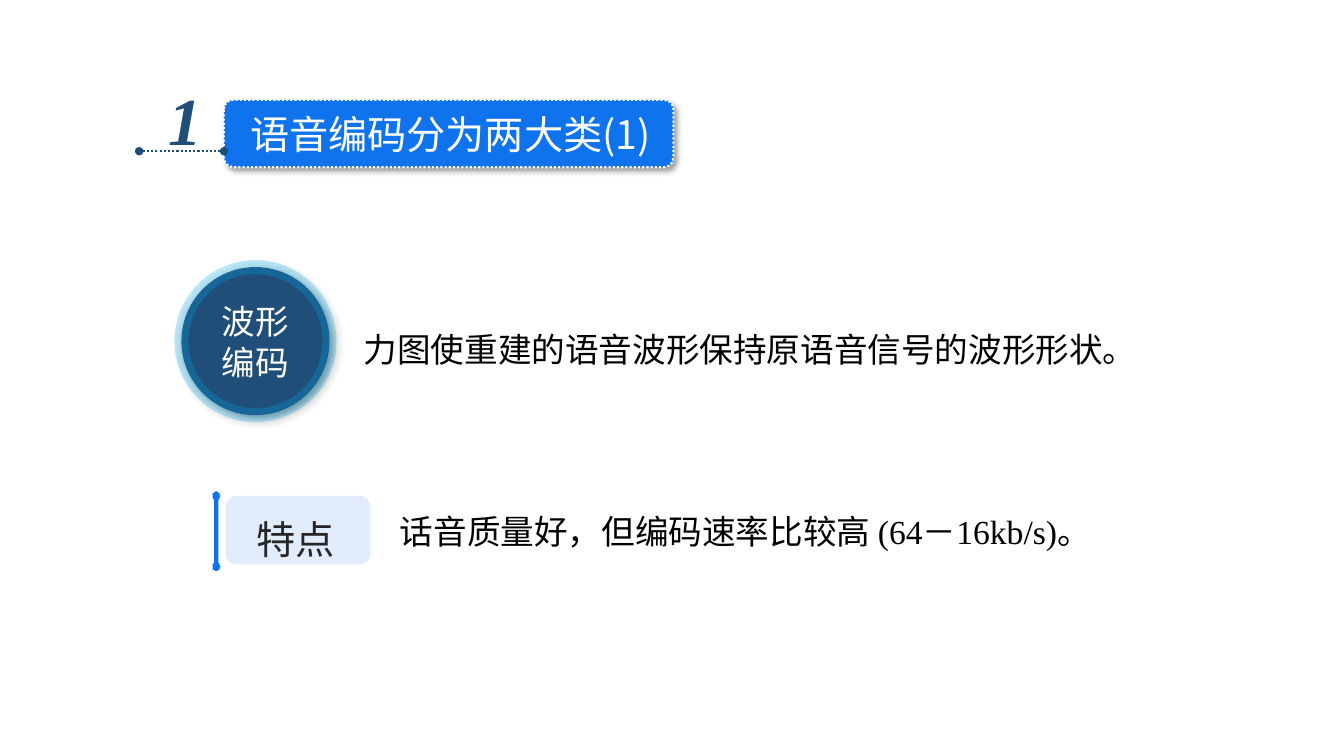
"""Build a slide on the first of two classes of speech coding."""
from math import cos, pi, sin

from lxml import etree
from pptx import Presentation
from pptx.dml.color import RGBColor
from pptx.enum.dml import MSO_LINE
from pptx.enum.shapes import MSO_CONNECTOR, MSO_SHAPE
from pptx.enum.text import MSO_ANCHOR, MSO_AUTO_SIZE, PP_ALIGN
from pptx.oxml.ns import qn
from pptx.util import Pt

ROUND, OVAL = MSO_SHAPE.ROUNDED_RECTANGLE, MSO_SHAPE.OVAL
LINE, DOTS = MSO_CONNECTOR.STRAIGHT, MSO_LINE.ROUND_DOT
LEFT, CENTER = PP_ALIGN.LEFT, PP_ALIGN.CENTER
TOP, MIDDLE = MSO_ANCHOR.TOP, MSO_ANCHOR.MIDDLE
FIXED = MSO_AUTO_SIZE.NONE


class Theme:
    navy, blue, cyan = "1F4E79", "0F73EE", "00B0F0"
    white, black, gray = "FFFFFF", "000000", "262626"
    sans, serif = "Noto Sans CJK SC", "Times New Roman"
    body, head, digit = 24, 28, 48


def color(fill, tone, alpha=None):
    fill.solid()
    fill.fore_color.rgb = RGBColor.from_string(tone)
    if alpha:
        node = fill._xPr.find(".//" + qn("a:srgbClr"))
        etree.SubElement(node, qn("a:alpha"), val=str(alpha * 1000))


class Deck:
    def __init__(self, theme):
        self.theme = theme
        self.prs = Presentation()
        self.prs.slide_width, self.prs.slide_height = Pt(960), Pt(540)
        self.slide = self.prs.slides.add_slide(self.prs.slide_layouts[5])
        self.shapes = self.slide.shapes

    def shape(self, kind, box, tone, alpha=None, line=None, adj=None, shade=False):
        item = self.shapes.add_shape(kind, *map(Pt, box))
        if adj:
            item.adjustments[0] = adj
        self.paint(item, tone, alpha)
        if line:
            edge, width, dash, clear = line
            color(item.line.fill, edge, clear)
            item.line.width = Pt(width)
            if dash:
                item.line.dash_style = dash
        if shade:
            self.shade(item)

    def paint(self, item, tone, alpha=None):
        color(item.fill, tone, alpha)
        item.line.fill.background()
        item.shadow.inherit = False

    def shade(self, item):
        group = item._element.spPr.find(qn("a:effectLst"))
        drop = etree.SubElement(group, qn("a:outerShdw"), blurRad=str(Pt(4)),
                                dist=str(Pt(3)), dir="2700000", algn="tl", rotWithShape="0")
        ink = etree.SubElement(drop, qn("a:srgbClr"), val=self.theme.black)
        etree.SubElement(ink, qn("a:alpha"), val="40000")

    def text(self, box, words, tone, size, name=None, wrap=True, **style):
        item = self.shapes.add_textbox(*map(Pt, box))
        self.letter(item, words, tone, size, name, wrap, **style)

    def title(self, box, words, tone, size):
        item = self.shapes.title
        item.left, item.top, item.width, item.height = map(Pt, box)
        self.shapes._spTree.append(item._element)
        self.letter(item, words, tone, size)

    def letter(self, item, words, tone, size, name=None, wrap=True, anchor=TOP,
               align=LEFT, space=1.0, indent=0, **font):
        frame = item.text_frame
        frame.text = words
        setup = {"word_wrap": wrap, "auto_size": FIXED, "vertical_anchor": anchor}
        for key, value in setup.items():
            setattr(frame, key, value)
        look = {"size": Pt(size), "name": name or self.theme.sans, **font}
        for para in frame.paragraphs:
            para.alignment, para.line_spacing = align, space
            if indent:
                para._p.get_or_add_pPr().set("marL", str(Pt(indent)))
            for run in para.runs:
                color(run.font.fill, tone)
                for key, value in look.items():
                    setattr(run.font, key, value)
                etree.SubElement(run._r.get_or_add_rPr(), qn("a:ea"),
                                 typeface=self.theme.sans)

    def rule(self, start, end, tone, width):
        item = self.shapes.add_connector(LINE, *map(Pt, start + end))
        color(item.line.fill, tone)
        item.line.width, item.line.dash_style = Pt(width), DOTS
        for tip in ("headEnd", "tailEnd"):
            etree.SubElement(item.line._ln, qn("a:" + tip), type="oval")
        etree.SubElement(item._element.spPr, qn("a:effectLst"))

    def pin(self, x, top, base, radius, tone):
        gap, steps = pi / 9, 32
        turns = [pi / 2 + gap + (2 * pi - 2 * gap) * i / steps for i in range(steps + 1)]
        spots = [(x + radius * cos(t + flip), y + radius * sin(t + flip))
                 for y, flip in ((top, 0), (base, pi)) for t in turns]
        form = self.shapes.build_freeform(*spots[0], scale=Pt(1))
        form.add_line_segments(spots[1:], close=True)
        self.paint(form.convert_to_shape(), tone)


def main():
    look = Theme()
    deck = Deck(look)

    deck.text((252.7, 216.7, 565.2, 46), "力图使重建的语音波形保持原语音信号的波形形状。",
              look.black, look.body, space=1.5)
    deck.shape(OVAL, (129.6, 190.8, 105.8, 105.8), look.navy,
               line=(look.cyan, 10, None, 25), shade=True)
    deck.text((151.2, 211.7, 63.4, 65.5), "波形\n编码", look.white, look.body, wrap=False)

    deck.shape(ROUND, (161, 354.2, 103.7, 49), look.blue, alpha=12)
    deck.pin(154.5, 354.4, 404.6, 3, look.blue)
    deck.text((167, 347.8, 87.8, 52.6), "特点", look.gray, look.head,
              align=CENTER, space=1.5)
    deck.text((242.6, 361.4, 582.5, 36), "话音质量好，但编码速率比较高 (64－16kb/s)。",
              look.black, look.body, look.serif, anchor=MIDDLE, indent=36)

    deck.shape(ROUND, (160, 71.3, 321, 48.2), look.blue, adj=0.14,
               line=(look.white, 1.5, DOTS, None), shade=True)
    deck.title((171.4, 74.9, 333.4, 41), "语音编码分为两大类(1)", look.white, look.head)
    deck.text((113, 52.6, 42.5, 65.5), "1", look.navy, look.digit, look.serif,
              bold=True, italic=True)
    deck.rule((99.4, 108), (160, 108), look.navy, 1.5)

    deck.prs.save("out.pptx")


if __name__ == "__main__":
    main()
